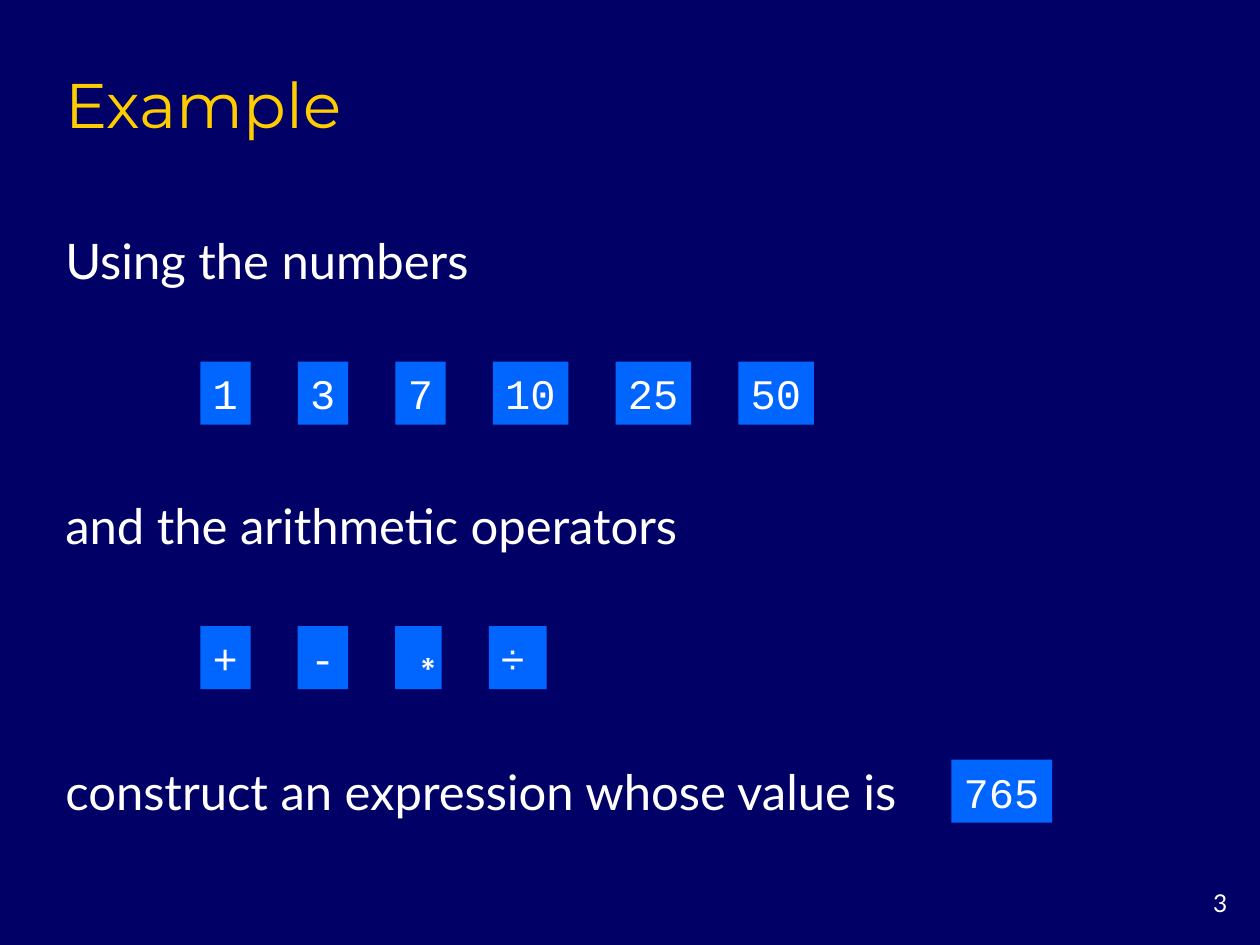
import pptx
import pptx.dml.color
import pptx.enum.shapes
import pptx.enum.text
import pptx.util
from pptx.util import Inches

NAVY = pptx.dml.color.RGBColor(0x00, 0x00, 0x66)
BLUE = pptx.dml.color.RGBColor(0x00, 0x66, 0xFF)
YELLOW = pptx.dml.color.RGBColor(0xFF, 0xCC, 0x00)
WHITE = pptx.dml.color.RGBColor(0xFF, 0xFF, 0xFF)
LEFT = pptx.enum.text.PP_ALIGN.LEFT
RIGHT = pptx.enum.text.PP_ALIGN.RIGHT
TOP = pptx.enum.text.MSO_ANCHOR.TOP
MIDDLE = pptx.enum.text.MSO_ANCHOR.MIDDLE
BOTTOM = pptx.enum.text.MSO_ANCHOR.BOTTOM
TILE_HEIGHT = Inches(0.5)


def write_text(shape, text, font, size, color=WHITE, align=LEFT, anchor=MIDDLE, wrap=True):
    """Put one formatted line of text into a shape."""
    frame = shape.text_frame
    frame.text = text
    frame.word_wrap = wrap
    frame.vertical_anchor = anchor
    paragraph = frame.paragraphs[0]
    paragraph.alignment = align
    run_font = paragraph.runs[0].font
    run_font.name = font
    run_font.size = pptx.util.Pt(size)
    run_font.color.rgb = color


def add_title(slide, text, left, top, width, height):
    """Place and format the title placeholder."""
    title = slide.shapes.title
    title.left, title.top, title.width, title.height = left, top, width, height
    write_text(title, text, "Montserrat", 36, YELLOW, anchor=BOTTOM)
    title.text_frame.auto_size = pptx.enum.text.MSO_AUTO_SIZE.NONE


def add_line(slide, text, left, top, width, height):
    """Add one line of the exercise wording."""
    box = slide.shapes.add_textbox(left, top, width, height)
    write_text(box, text, "Lato", 28)


def add_tile(shapes, text, font, left, top, width):
    """Add one blue tile holding a number or an operator."""
    tile = shapes.add_shape(
        pptx.enum.shapes.MSO_SHAPE.RECTANGLE, left, top, width, TILE_HEIGHT)
    tile.shadow.inherit = False
    tile.fill.solid()
    tile.fill.fore_color.rgb = BLUE
    tile.line.fill.background()
    write_text(tile, text, font, 24, wrap=False)


def add_tile_row(slide, tiles, left, top, row_width):
    """Spread a group of tiles with equal gaps across the row width."""
    group = slide.shapes.add_group_shape()
    widths = [Inches(width) for _, _, width in tiles]
    gap = (row_width - sum(widths)) // (len(tiles) - 1)
    for (text, font, _), width in zip(tiles, widths):
        add_tile(group.shapes, text, font, left, top, width)
        left += width + gap


def add_page_number(slide, text, left, top, width, height):
    """Add the right-aligned page number."""
    box = slide.shapes.add_textbox(left, top, width, height)
    write_text(box, text, "Lato", 14, align=RIGHT, anchor=TOP)


def build_example_slide(presentation):
    """Build the slide that states the example."""
    slide = presentation.slides.add_slide(presentation.slide_layouts[5])
    slide.background.fill.solid()
    slide.background.fill.fore_color.rgb = NAVY

    margin = Inches(0.42)
    row_left = Inches(1.59)
    add_title(slide, "Example", margin, Inches(0.42), Inches(8.5), Inches(0.75))

    numbers = [(text, "Courier New", 0.2 + 0.2 * len(text))
               for text in ("1", "3", "7", "10", "25", "50")]
    add_line(slide, "Using the numbers", margin, Inches(1.78), Inches(8.61), Inches(0.57))
    add_tile_row(slide, numbers, row_left, Inches(2.87), Inches(4.87))

    operators = [("+", "Courier New", 0.4), ("-", "Courier New", 0.4),
                 ("\u2217", "Arial", 0.37), ("\u00f7", "Arial", 0.46)]
    add_line(slide, "and the arithmetic operators",
             margin, Inches(3.88), Inches(8.61), Inches(0.57))
    add_tile_row(slide, operators, row_left, Inches(4.97), Inches(2.75))

    add_line(slide, "construct an expression whose value is",
             margin, Inches(5.76), Inches(6.99), Inches(1.04))
    add_tile(slide.shapes, "765", "Courier New", Inches(7.55), Inches(6.03), Inches(0.8))
    add_page_number(slide, "3", Inches(9.17), Inches(7), Inches(0.67), Inches(0.33))


def main():
    """Create and save the presentation."""
    presentation = pptx.Presentation()
    presentation.slide_width = Inches(10)
    presentation.slide_height = Inches(7.5)
    build_example_slide(presentation)
    presentation.save("out.pptx")


main()
